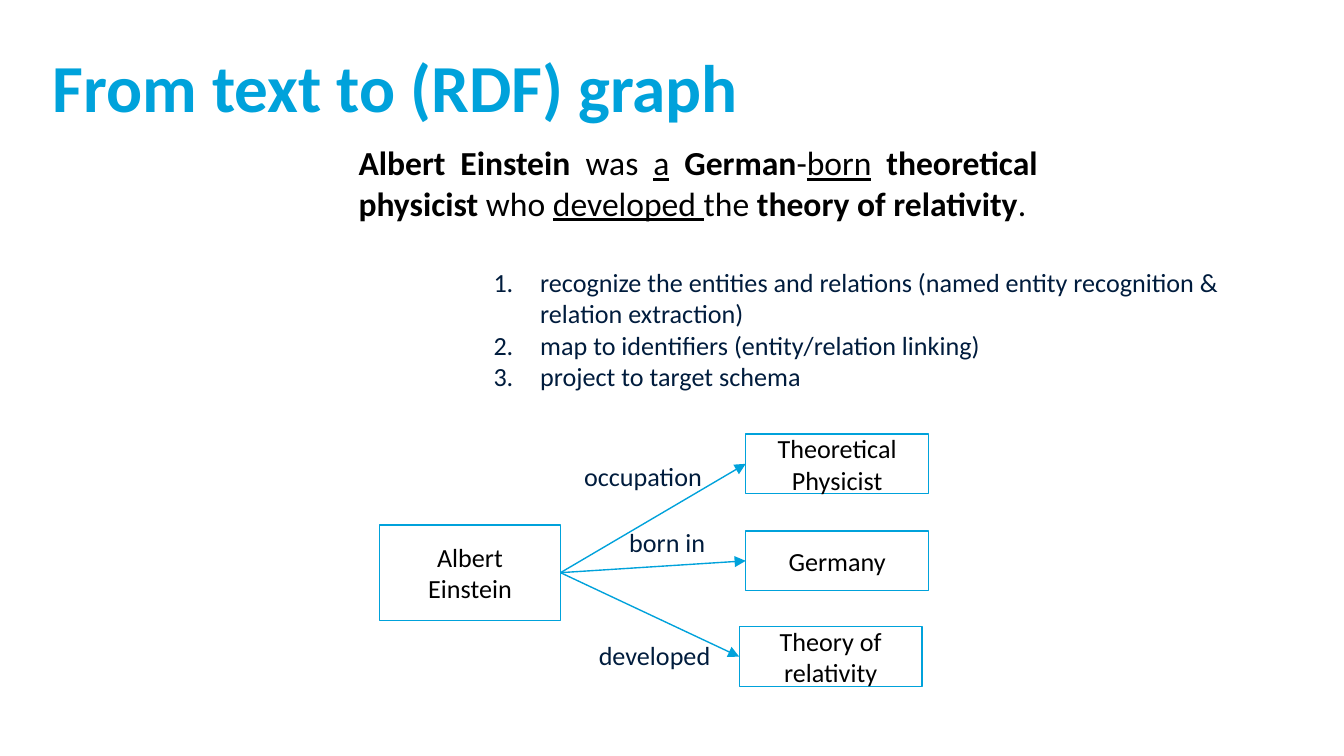
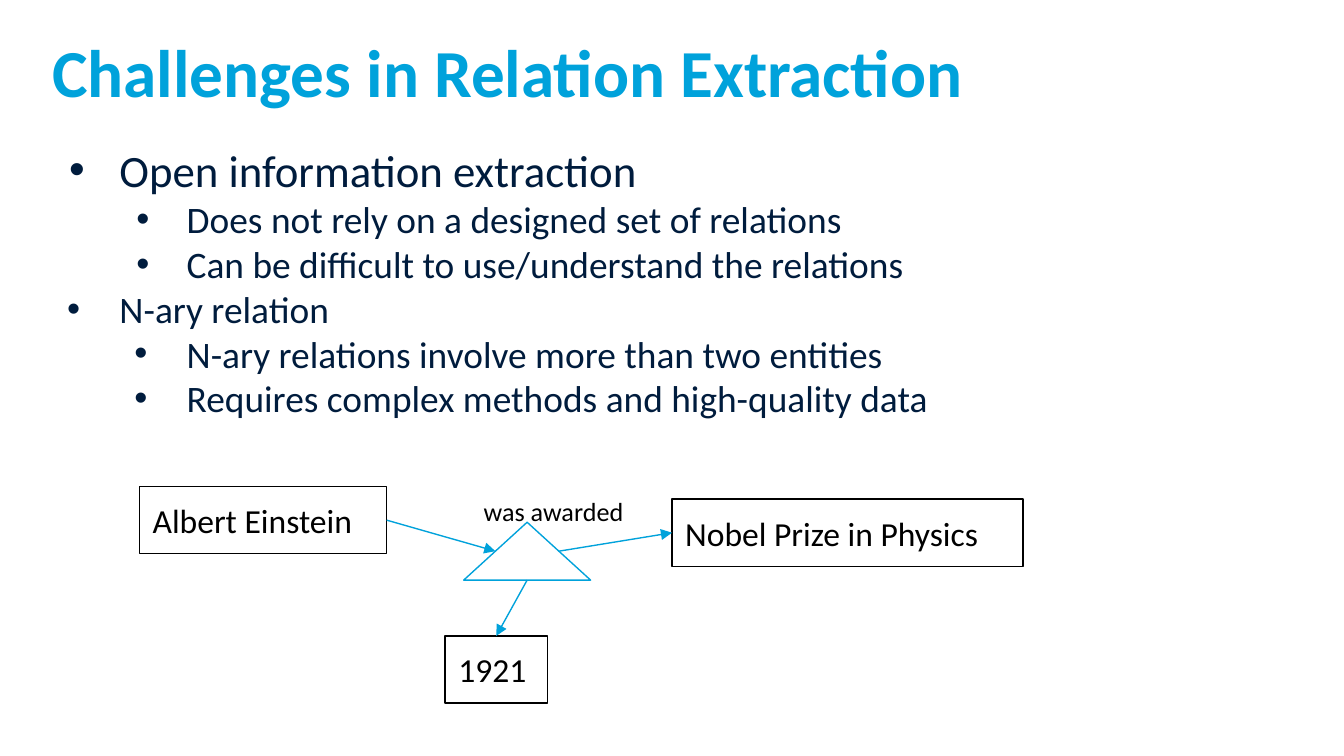
from dataclasses import dataclass

from lxml import etree
from pptx import Presentation
from pptx.dml.color import RGBColor
from pptx.enum.shapes import MSO_CONNECTOR, MSO_SHAPE
from pptx.enum.text import MSO_ANCHOR, MSO_AUTO_SIZE, PP_ALIGN
from pptx.oxml.ns import qn
from pptx.util import Pt

LEFT, CENTER, JUSTIFY = PP_ALIGN.LEFT, PP_ALIGN.CENTER, PP_ALIGN.JUSTIFY
TOP, MIDDLE = MSO_ANCHOR.TOP, MSO_ANCHOR.MIDDLE
NO_FIT = MSO_AUTO_SIZE.NONE
RECTANGLE, TRIANGLE = MSO_SHAPE.RECTANGLE, MSO_SHAPE.ISOSCELES_TRIANGLE
STRAIGHT = MSO_CONNECTOR.STRAIGHT
TOP_SIDE, LEFT_SIDE, RIGHT_SIDE = 0, 1, 3


@dataclass(frozen=True)
class Theme:
    font: str = "Calibri"
    accent: str = "00A2DB"
    navy: str = "001C3D"
    black: str = "000000"
    white: str = "FFFFFF"
    title: int = 36
    topic: int = 24
    detail: int = 20
    sentence: int = 18
    label: int = 14
    line: float = 0.75
    inset: float = 7.2


theme = Theme()


def write(shape, paragraphs, size=theme.label, color=theme.black, align=LEFT,
          bold=False, anchor=TOP, inset=theme.inset, inset_y=None):
    """Fill a shape with paragraphs.

    A paragraph is a string, a list of (text, style) runs with style "b", "u" or "",
    or a dict with text, level, size, bullet, left and hang for a list item.
    """
    frame = shape.text_frame
    frame.word_wrap = True
    frame.auto_size = NO_FIT
    frame.vertical_anchor = anchor
    frame.margin_left = frame.margin_right = Pt(inset)
    frame.margin_top = frame.margin_bottom = Pt(inset if inset_y is None else inset_y)
    for index, content in enumerate(paragraphs):
        paragraph = frame.add_paragraph() if index else frame.paragraphs[0]
        paragraph.alignment = align
        paragraph.space_before = Pt(0)
        item = content if isinstance(content, dict) else {"text": content}
        if "bullet" in item:
            paragraph.level = item["level"]
            properties = paragraph._p.get_or_add_pPr()
            properties.set("marL", str(Pt(item["left"])))
            properties.set("indent", str(-Pt(item["hang"])))
            bullet_color = etree.SubElement(properties, qn("a:buClr"))
            etree.SubElement(bullet_color, qn("a:srgbClr"), val=color)
            if item["bullet"] == "1.":
                etree.SubElement(properties, qn("a:buAutoNum"), type="arabicPeriod")
            else:
                etree.SubElement(properties, qn("a:buFont"), typeface="Arial")
                etree.SubElement(properties, qn("a:buChar"), char=item["bullet"])
        runs = item["text"]
        for text, style in [(runs, "")] if isinstance(runs, str) else runs:
            run = paragraph.add_run()
            run.text = text
            run.font.name = theme.font
            run.font.size = Pt(item.get("size", size))
            run.font.bold = bold or style == "b"
            run.font.underline = style == "u"
            run.font.color.rgb = RGBColor.from_string(color)


def draw_arrow(slide, point=(0, 0), source=None, target=None, side=LEFT_SIDE):
    """Point is the free end, where no rectangle is joined."""
    arrow = slide.shapes.add_connector(STRAIGHT, *point, *point)
    if source is not None:
        arrow.begin_connect(source, RIGHT_SIDE)
    if target is not None:
        arrow.end_connect(target, side)
    arrow.line.color.rgb = RGBColor.from_string(theme.accent)
    arrow.line.width = Pt(theme.line)
    properties = arrow._element.spPr
    etree.SubElement(properties.find(qn("a:ln")), qn("a:tailEnd"), type="triangle")
    etree.SubElement(properties, qn("a:effectLst"))


deck = Presentation()
deck.slide_width, deck.slide_height = Pt(720), Pt(405)

steps = [
    {"text": text, "level": 0, "bullet": "1.", "left": 36, "hang": 25}
    for text in (
        "recognize the entities and relations (named entity recognition & relation extraction)",
        "map to identifiers (entity/relation linking)",
        "project to target schema",
    )
]
challenges = [
    {"text": text, "level": level, "size": size, "bullet": "•",
     "left": 36 * (level + 1), "hang": hang}
    for text, level, size, hang in (
        ("Open information extraction", 0, theme.topic, 27),
        ("Does not rely on a designed set of relations", 1, theme.detail, 27),
        ("Can be difficult to use/understand the relations", 1, theme.detail, 27),
        ("N-ary relation", 0, theme.detail, 28),
        ("N-ary relations involve more than two entities", 1, theme.detail, 28),
        ("Requires complex methods and high-quality data", 1, theme.detail, 28),
    )
]

# Titles and lists
slides = []
for heading, title_top, items, list_area, list_inset in (
    ("From text to (RDF) graph", 24.5, steps, (246.2, 135.4, 417.6, 82), theme.inset),
    ("Challenges in Relation Extraction", 16.5, challenges, (28, 76.3, 656, 279.4), 0),
):
    slide = deck.slides.add_slide(deck.slide_layouts[1])
    title, body = slide.placeholders
    for placeholder, area in ((title, (28, title_top, 656, 44.6)), (body, list_area)):
        placeholder.left, placeholder.top, placeholder.width, placeholder.height = map(Pt, area)
    write(title, [heading], size=theme.title, color=theme.accent, bold=True, inset=0)
    write(body, items, color=theme.navy, inset=list_inset)
    slides.append(slide)
graph_slide, challenge_slide = slides

# Example sentence
sentence = graph_slide.shapes.add_textbox(Pt(185), Pt(72.7), Pt(378), Pt(51))
write(sentence, [[
    ("Albert Einstein ", "b"), ("was ", ""), ("a", "u"), (" ", ""), ("German", "b"),
    ("-", ""), ("born", "u"), (" ", ""), ("theoretical physicist ", "b"), ("who ", ""),
    ("developed ", "u"), ("the ", ""), ("theory of relativity", "b"), (".", ""),
]], size=theme.sentence, align=JUSTIFY, inset_y=3.6)

# Entities of both graphs
entities = []
for slide, lines, area in (
    (graph_slide, ["Albert Einstein"], (203.3, 281.3, 97, 51)),
    (graph_slide, ["Theoretical", "Physicist"], (399.5, 232.5, 98, 32)),
    (graph_slide, ["Germany"], (399.5, 284.5, 98, 32)),
    (graph_slide, ["Theory of relativity"], (396, 335.8, 98, 32)),
    (challenge_slide, ["Albert Einstein"], (74.7, 260.7, 132.5, 36)),
    (challenge_slide, ["Nobel Prize in Physics"], (360, 267.4, 188, 36)),
    (challenge_slide, ["1921"], (238.5, 340.7, 54.7, 36)),
    (challenge_slide, [], (248.4, 279.8, 68, 31)),
):
    entity = slide.shapes.add_shape(TRIANGLE if not lines else RECTANGLE, *map(Pt, area))
    entity.shadow.inherit = False
    framed = slide is challenge_slide and lines
    if framed:
        entity.fill.background()
    else:
        entity.fill.solid()
        entity.fill.fore_color.rgb = RGBColor.from_string(theme.white)
    entity.line.color.rgb = RGBColor.from_string(theme.black if framed else theme.accent)
    entity.line.width = Pt(theme.line)
    write(entity, lines, size=theme.sentence if framed else theme.label,
          align=JUSTIFY if framed else CENTER, anchor=MIDDLE)
    entities.append(entity)
person, occupation, country, theory, winner, prize, year, award = entities

# Relations
for target in (occupation, country, theory):
    draw_arrow(graph_slide, source=person, target=target)

award_middle = award.top + award.height // 2
award_quarter = award.width // 4
draw_arrow(challenge_slide, (award.left + award_quarter, award_middle), source=winner)
draw_arrow(challenge_slide, (award.left + 3 * award_quarter, award_middle), target=prize)
draw_arrow(challenge_slide, (award.left + 2 * award_quarter, award.top + award.height),
           target=year, side=TOP_SIDE)

for slide, relation, left, top, width, color, align in (
    (graph_slide, "born in", 324, 275, 67, theme.navy, CENTER),
    (graph_slide, "developed", 301.7, 335.5, 98, theme.navy, CENTER),
    (graph_slide, "occupation", 301, 239.5, 87, theme.navy, CENTER),
    (challenge_slide, "was awarded", 252, 258, 108, theme.black, LEFT),
):
    label = slide.shapes.add_textbox(Pt(left), Pt(top), Pt(width), Pt(31.5))
    write(label, [relation], color=color, align=align)

deck.save("out.pptx")
